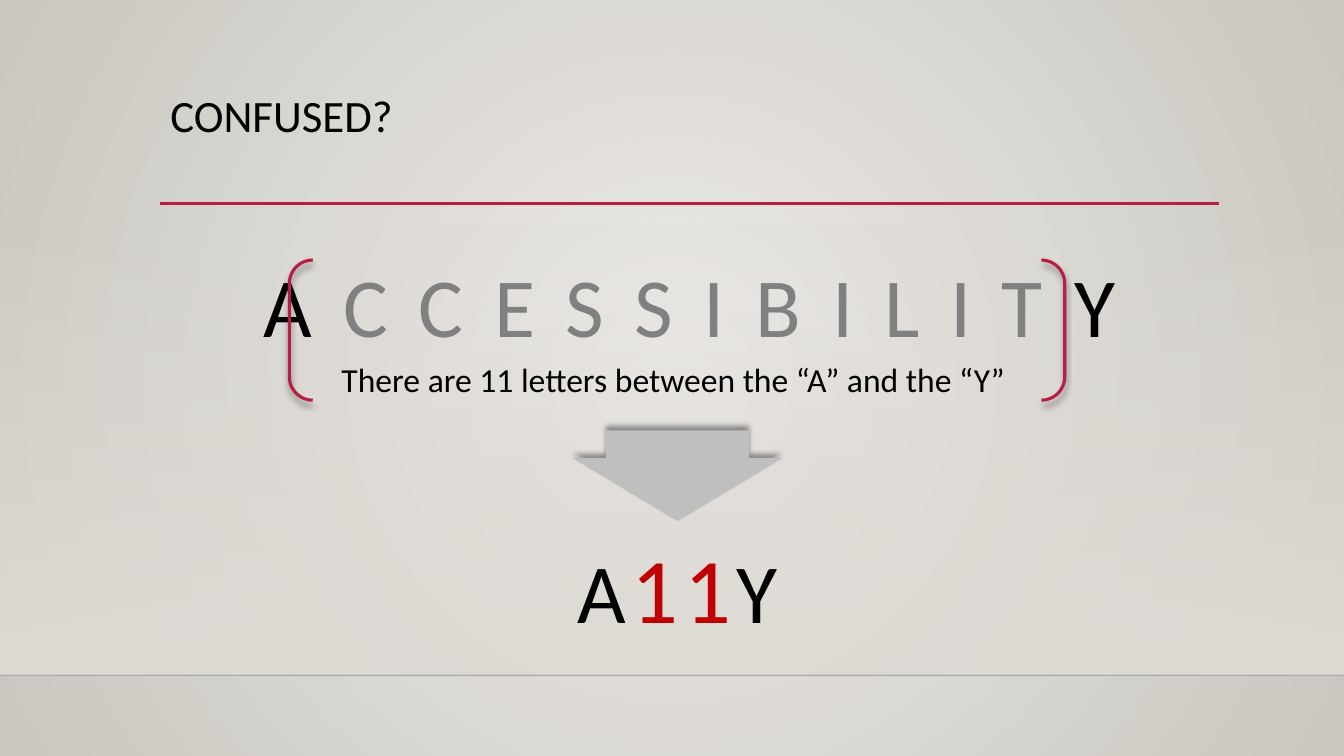
import pptx
import pptx.util
import pptx.dml.color
import pptx.enum.shapes
import pptx.enum.text
import pptx.oxml
import pptx.oxml.ns
from pptx.util import Inches, Pt
from pptx.dml.color import RGBColor
from pptx.enum.shapes import MSO_SHAPE

BLACK = RGBColor(0x00, 0x00, 0x00)
RULE = RGBColor(0x00, 0x00, 0x01)
GRAY = RGBColor(0x80, 0x80, 0x80)
SILVER = RGBColor(0xBF, 0xBF, 0xBF)
RED = RGBColor(0xC0, 0x00, 0x00)
CRIMSON = RGBColor(0xB7, 0x1E, 0x42)
SAND = RGBColor(0xDF, 0xDB, 0xD5)
GLOW = RGBColor(0xEC, 0xEA, 0xE7)
EDGE = RGBColor(0xCA, 0xC7, 0xC1)
FONT = "Calibri"


def add_xml(parent, tag, **attrs):
    child = pptx.oxml.parse_xml(f'<{tag} {pptx.oxml.ns.nsdecls("a")}/>')
    for name, value in attrs.items():
        child.set(name, str(value))
    parent.append(child)
    return child


def add_color(parent, color, opacity=100):
    node = add_xml(parent, "a:srgbClr", val=color)
    if opacity < 100:
        add_xml(node, "a:alpha", val=opacity * 1000)


def set_stops(fill, stops):
    fill.gradient()
    grad = fill._fill._gradFill
    for child in list(grad):
        grad.remove(child)
    gs_lst = add_xml(grad, "a:gsLst")
    for pos, color, opacity in stops:
        add_color(add_xml(gs_lst, "a:gs", pos=pos * 1000), color, opacity)
    return grad


def add_shadow(sp, degrees):
    sp.shadow.inherit = False
    effects = sp._element.spPr.find(pptx.oxml.ns.qn("a:effectLst"))
    shadow = add_xml(effects, "a:outerShdw", blurRad=Pt(4), dist=Pt(3),
                     dir=degrees * 60000, rotWithShape=0)
    add_color(shadow, BLACK, 40)


def add_rule(s, left, top, right, color, width, opacity=100):
    line = s.shapes.add_connector(pptx.enum.shapes.MSO_CONNECTOR.STRAIGHT,
                                  Inches(left), Inches(top), Inches(right), Inches(top))
    line.line.color.rgb = color
    line.line.width = Pt(width)
    if opacity < 100:
        clr = line.line._ln.find(".//" + pptx.oxml.ns.qn("a:srgbClr"))
        add_xml(clr, "a:alpha", val=opacity * 1000)
    add_xml(line._element.spPr, "a:effectLst")


def add_text(s, box, parts, spacing=0):
    tf = s.shapes.add_textbox(*map(Inches, box)).text_frame
    tf.word_wrap = True
    p = tf.paragraphs[0]
    p.alignment = pptx.enum.text.PP_ALIGN.CENTER
    for text, size, color in parts:
        r = p.add_run()
        r.text = text
        r.font.name = FONT
        r.font.size = Pt(size)
        r.font.color.rgb = color
        if spacing:
            r.font._element.set("spc", str(spacing * 100))


def add_backdrop(s, width, top, bottom):
    grad = set_stops(s.background.fill, [(0, GLOW, 100), (100, EDGE, 100)])
    center = add_xml(grad, "a:path", path="circle")
    add_xml(center, "a:fillToRect", l=50000, t=50000, r=50000, b=50000)
    wall = s.shapes.add_shape(MSO_SHAPE.RECTANGLE, 0, Inches(top),
                              Inches(width), Inches(bottom - top))
    wall.shadow.inherit = False
    wall.line.fill.background()
    grad = set_stops(wall.fill, [(0, SAND, 0), (100, SAND, 100)])
    add_xml(grad, "a:lin", ang=90 * 60000, scaled=0)
    add_rule(s, 0, bottom, width, RULE, 1, 20)


def add_title(s, left, top, width, height):
    title = s.shapes.title
    title.left, title.top, title.width, title.height = map(Inches, (left, top, width, height))
    tf = title.text_frame
    tf.text = "CONFUSED?"
    tf.word_wrap = True
    tf.vertical_anchor = pptx.enum.text.MSO_ANCHOR.TOP
    p = tf.paragraphs[0]
    p.alignment = pptx.enum.text.PP_ALIGN.LEFT
    p.line_spacing = 0.9
    r = p.runs[0]
    r.font.name = FONT
    r.font.size = Pt(32)
    r.font.color.rgb = BLACK
    add_rule(s, left, 2.02, left + width, CRIMSON, 2.5)


def add_word(s, left, top, width):
    add_text(s, (left - 1.28, top - 0.11, 10.5, 1.11),
             [("A", 60, BLACK), ("CCESSIBILIT", 60, GRAY), ("Y", 60, BLACK)], 22)
    bracket = s.shapes.add_shape(MSO_SHAPE.DOUBLE_BRACKET, Inches(left), Inches(top),
                                 Inches(width), Inches(1.39))
    bracket.fill.background()
    bracket.line.color.rgb = CRIMSON
    bracket.line.width = Pt(2.25)
    add_shadow(bracket, 90)
    add_text(s, (left, top + 0.93, width, 0.5),
             [("There are 11 letters between the “A” and the “Y” ", 24, BLACK)])


def add_result(s, center, top):
    arrow = s.shapes.add_shape(MSO_SHAPE.DOWN_ARROW, Inches(center - 1.04), Inches(top),
                               Inches(2.08), Inches(0.9))
    arrow.adjustments[0] = 0.682
    arrow.adjustments[1] = 0.693
    arrow.fill.solid()
    arrow.fill.fore_color.rgb = SILVER
    arrow.line.fill.background()
    add_shadow(arrow, 270)
    add_text(s, (center - 5.25, top + 0.95, 10.5, 1.21),
             [("A", 60, BLACK), ("11", 66, RED), ("Y", 60, BLACK)], 4)


def main():
    prs = pptx.Presentation()
    prs.slide_width = Inches(13.33)
    prs.slide_height = Inches(7.5)
    s = prs.slides.add_slide(prs.slide_layouts[5])
    add_backdrop(s, 13.33, 2.21, 6.7)
    add_title(s, 1.59, 0.88, 10.5, 1.15)
    add_word(s, 2.87, 2.58, 7.69)
    add_result(s, 6.72, 4.27)
    prs.save("out.pptx")


if __name__ == "__main__":
    main()
